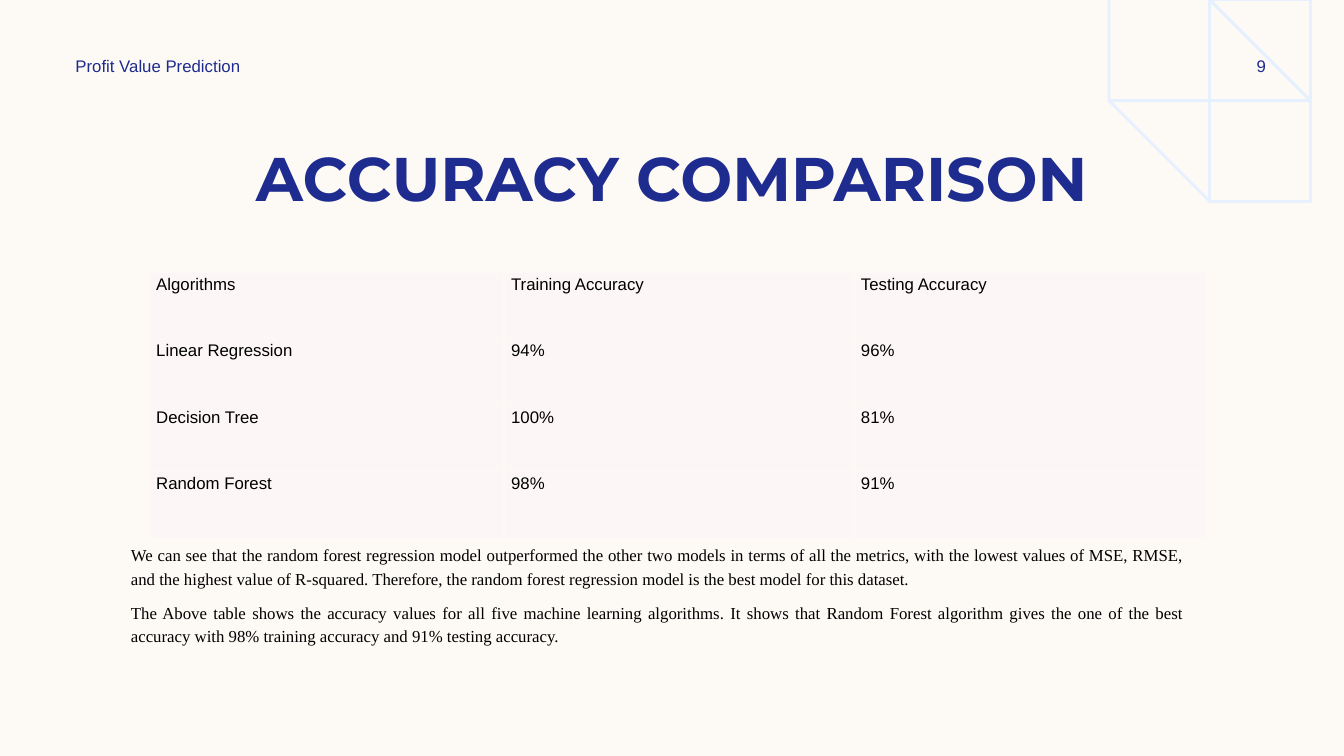
from dataclasses import dataclass
from math import acos, asin, cos, sin

from lxml.etree import SubElement
from pptx import Presentation
from pptx.dml.color import RGBColor
from pptx.enum.text import MSO_ANCHOR as Anchor, PP_ALIGN as Align
from pptx.oxml.ns import qn
from pptx.util import Inches, Pt

TITLE = "ACCURACY COMPARISON"
HEADER = "Profit Value Prediction"
PAGE_NUMBER = "9"
ACCURACY = [
    ("Algorithms", "Training Accuracy", "Testing Accuracy"),
    ("Linear Regression", "94%", "96%"),
    ("Decision Tree", "100%", "81%"),
    ("Random Forest", "98%", "91%"),
]
FINDINGS = [
    "We can see that the random forest regression model outperformed the other two "
    "models in terms of all the metrics, with the lowest values of MSE, RMSE, and the "
    "highest value of R-squared. Therefore, the random forest regression model is the "
    "best model for this dataset.",
    "The Above table shows the accuracy values for all five machine learning "
    "algorithms. It shows that Random Forest algorithm gives the one of the best "
    "accuracy with 98% training accuracy and 91% testing accuracy.",
]

SLIDE_WIDTH, SLIDE_HEIGHT = 13.33, 7.5
COLUMN_WIDTHS = (3.52, 3.47, 3.5)
ROW_HEIGHT = 0.66
RING_CENTER = (13.35, -0.17)
RING_RADII = (0.32, 2.55)
RING_COUNT = 17


@dataclass(frozen=True)
class Theme:
    background: str = "FDFAF6"
    cell: str = "FDF6F6"
    ring: str = "E6F0FE"
    accent: str = "1F2C8F"
    ink: str = "000000"
    title_font: str = "Montserrat"
    label_font: str = "Arial"
    body_font: str = "Times New Roman"
    title_size: int = 44
    body_size: int = 12


THEME = Theme()


def paint(fill, color):
    fill.solid()
    fill.fore_color.rgb = RGBColor.from_string(color)


def add_span(para, text, font, color, size=THEME.body_size, bold=False):
    span = para.add_run()
    span.text = text
    span.font.name = font
    span.font.size = Pt(size)
    span.font.bold = bold
    span.font.color.rgb = RGBColor.from_string(color)


def set_body_spacing(para):
    para.alignment = Align.JUSTIFY
    para.line_spacing = 1.15
    para.space_after = Pt(8)


def place(shape, left, top, width, height):
    shape.left, shape.top = Inches(left), Inches(top)
    shape.width, shape.height = Inches(width), Inches(height)


def add_box(page, left, top, width, height, anchor=Anchor.TOP):
    box = page.shapes.add_textbox(*map(Inches, (left, top, width, height)))
    box.text_frame.word_wrap = True
    box.text_frame.vertical_anchor = anchor
    return box.text_frame


def arc_points(radius):
    center_x, center_y = RING_CENTER
    start = asin(-center_y / radius)
    end = acos((center_x - SLIDE_WIDTH) / radius)
    steps = 4 + round(3 * radius)
    angles = [start + (end - start) * i / steps for i in range(steps + 1)]
    return [(center_x - radius * cos(a), center_y + radius * sin(a)) for a in angles]


def add_rings(page):
    smallest, largest = RING_RADII
    step = (largest - smallest) / (RING_COUNT - 1)
    first, *others = [arc_points(largest - i * step) for i in range(RING_COUNT)]
    builder = page.shapes.build_freeform(*first[0], scale=Inches(1))
    builder.add_line_segments(first[1:], close=False)
    for arc in others:
        builder.move_to(*arc[0])
        builder.add_line_segments(arc[1:], close=False)
    rings = builder.convert_to_shape()
    rings.shadow.inherit = False
    rings.fill.background()
    rings.line.width = Pt(2)
    paint(rings.line.fill, THEME.ring)


def add_borders(cell):
    properties = cell._tc.get_or_add_tcPr()
    for side in ("a:lnL", "a:lnR", "a:lnT", "a:lnB"):
        line = SubElement(properties, qn(side), w=str(Pt(1)))
        solid = SubElement(line, qn("a:solidFill"))
        SubElement(solid, qn("a:srgbClr"), val=THEME.background)


def add_accuracy_table(page):
    size = (sum(COLUMN_WIDTHS), ROW_HEIGHT * len(ACCURACY))
    frame = page.shapes.add_table(
        len(ACCURACY), len(COLUMN_WIDTHS), *map(Inches, (1.48, 2.7, *size))
    )
    table = frame.table
    table.first_row = table.horz_banding = False
    for column, width in zip(table.columns, COLUMN_WIDTHS):
        column.width = Inches(width)
    for row, values in zip(table.rows, ACCURACY):
        row.height = Inches(ROW_HEIGHT)
        for cell, value in zip(row.cells, values):
            cell.margin_left = cell.margin_right = Inches(0.07)
            cell.margin_top = cell.margin_bottom = 0
            add_borders(cell)
            paint(cell.fill, THEME.cell)
            para = cell.text_frame.paragraphs[0]
            set_body_spacing(para)
            add_span(para, value, THEME.label_font, THEME.ink)


def add_title(page):
    title = page.shapes.title
    place(title, 0.83, 1.33, 11.67, 0.84)
    title.text_frame.vertical_anchor = Anchor.MIDDLE
    para = title.text_frame.paragraphs[0]
    para.alignment = Align.CENTER
    add_span(para, TITLE, THEME.title_font, THEME.accent, THEME.title_size, True)


def add_label(page, text, left, width, alignment):
    para = add_box(page, left, 0.5, width, 0.3, Anchor.MIDDLE).paragraphs[0]
    para.alignment = alignment
    add_span(para, text, THEME.label_font, THEME.accent)


def add_findings(page):
    frame = add_box(page, 1.2, 5.33, 10.65, 1.13)
    for i, finding in enumerate(FINDINGS):
        para = frame.add_paragraph() if i else frame.paragraphs[0]
        set_body_spacing(para)
        add_span(para, finding, THEME.body_font, THEME.ink)


def main():
    deck = Presentation()
    deck.slide_width, deck.slide_height = Inches(SLIDE_WIDTH), Inches(SLIDE_HEIGHT)
    page = deck.slides.add_slide(deck.slide_layouts[5])
    paint(page.background.fill, THEME.background)
    add_rings(page)
    add_title(page)
    add_label(page, PAGE_NUMBER, 11.97, 1.08, Align.CENTER)
    add_accuracy_table(page)
    add_findings(page)
    add_label(page, HEADER, 0.65, 3.5, Align.LEFT)
    deck.save("out.pptx")


if __name__ == "__main__":
    main()
